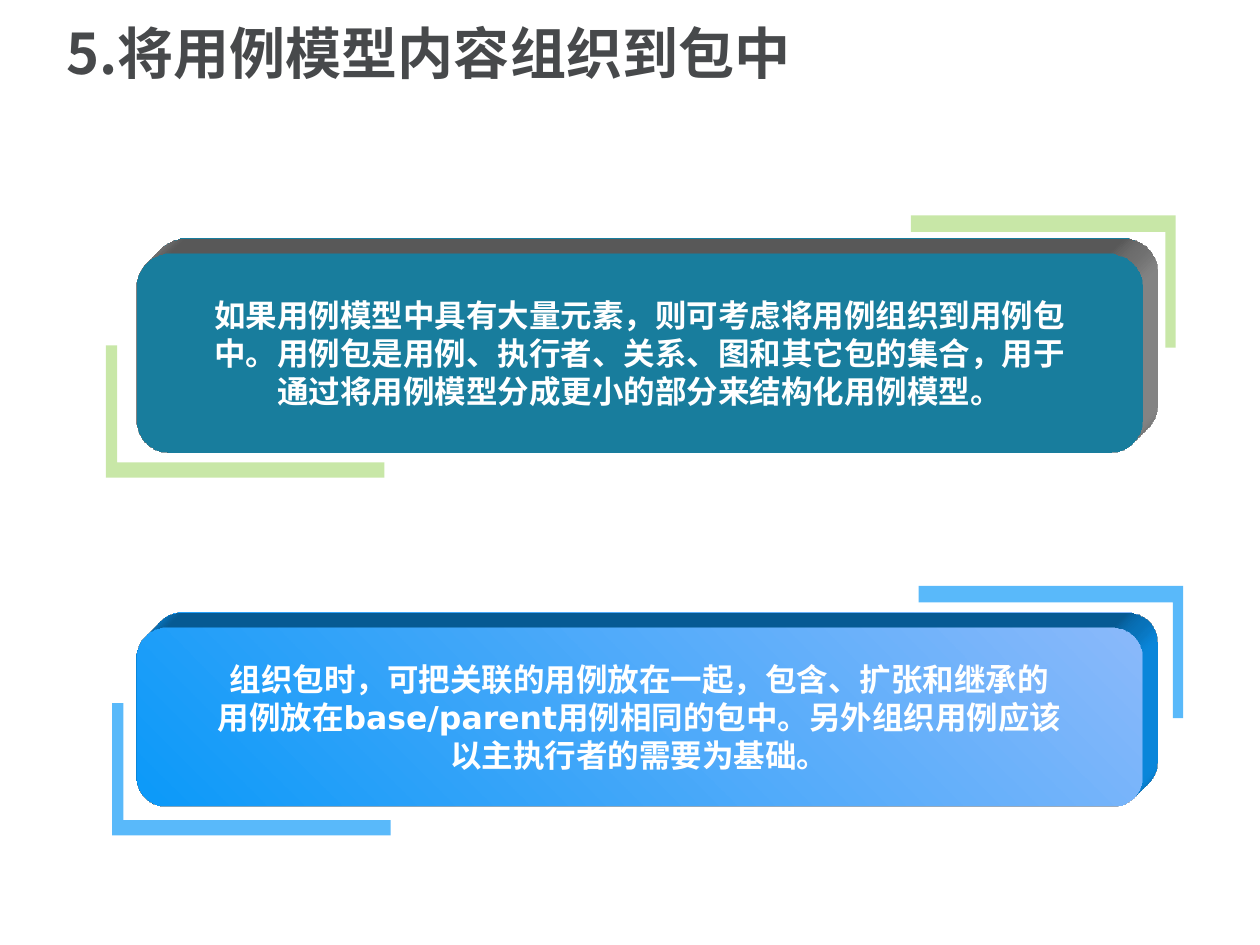
from lxml import etree
from pptx import Presentation
from pptx import util as u
from pptx.dml.color import RGBColor
from pptx.enum import shapes, text
from pptx.oxml import ns

COLORS = {"title": "47494B", "text": "FFFFFF", "teal": "22B1DE", "green": "92D050",
          "blue": "0B99F9", "pale": "8AB9FA", "gray": "969696"}
CJK = "Noto Sans CJK SC"


def rgb(name):
    """Return the named colour."""
    return RGBColor.from_string(COLORS[name])


def add_child(parent, tag, **attrs):
    """Append a DrawingML element to a parent."""
    return etree.SubElement(parent, ns.qn(tag), attrs)


def write_lines(tf, lines, size, color, latin, align):
    """Write bold paragraphs into a vertically centred text frame."""
    tf.vertical_anchor = text.MSO_ANCHOR.MIDDLE
    for i, line in enumerate(lines):
        p = tf.paragraphs[0] if i == 0 else tf.add_paragraph()
        p.alignment = align
        r = p.add_run()
        r.text = line
        p.font.size, p.font.bold, p.font.name = u.Pt(size), True, latin
        p.font.color.rgb = rgb(color)
        r.font.size, r.font.bold, r.font.name = u.Pt(size), True, latin
        r.font.color.rgb = rgb(color)
        add_child(r.font._element, "a:ea", typeface=CJK)


def add_title(s, x, y, w, h, title):
    """Add the slide title in the given box."""
    tf = s.shapes.add_textbox(u.Inches(x), u.Inches(y), u.Inches(w), u.Inches(h)).text_frame
    tf.word_wrap = True
    write_lines(tf, [title], 32, "title", CJK, text.PP_ALIGN.LEFT)


def add_bracket(s, x, y, w, h, thick_x, thick_y, color, alpha):
    """Add an L-shaped bracket from its corner; signed sizes give its direction."""
    points = [(x, y), (x + w, y), (x + w, y + thick_y), (x + thick_x, y + thick_y),
              (x + thick_x, y + h), (x, y + h)]
    points = [(u.Inches(px), u.Inches(py)) for px, py in points]
    builder = s.shapes.build_freeform(*points[0], scale=1.0)
    builder.add_line_segments(points[1:], close=True)
    sp = builder.convert_to_shape()
    sp.shadow.inherit = False
    sp.line.fill.background()
    sp.fill.solid()
    sp.fill.fore_color.rgb = rgb(color)
    for clr in sp._element.spPr.find(ns.qn("a:solidFill")):
        add_child(clr, "a:alpha", val=str(alpha * 1000))


def extrude(sp, color):
    """Give a shape an oblique depth towards the top right."""
    spPr = sp._element.spPr
    scene = add_child(spPr, "a:scene3d")
    add_child(scene, "a:camera", prst="legacyObliqueTopRight")
    add_child(scene, "a:lightRig", rig="legacyFlat3", dir="b")
    solid = add_child(spPr, "a:sp3d", extrusionH=str(u.Inches(0.34)), prstMaterial="legacyMatte")
    for bevel in ("a:bevelT", "a:bevelB"):
        add_child(solid, bevel, w="13500", h="13500", prst="angle")
    add_child(add_child(solid, "a:extrusionClr"), "a:srgbClr", val=COLORS[color])


def add_panel(s, x, y, w, h, lines, fill, depth, latin):
    """Add a raised rounded panel with centred lines."""
    sp = s.shapes.add_shape(shapes.MSO_SHAPE.ROUNDED_RECTANGLE,
                            u.Inches(x), u.Inches(y), u.Inches(w), u.Inches(h))
    sp.adjustments[0] = 0.167
    sp.shadow.inherit = False
    sp.line.fill.background()
    if len(fill) == 1:
        sp.fill.solid()
        sp.fill.fore_color.rgb = rgb(fill[0])
    else:
        sp.fill.gradient()
        sp.fill.gradient_angle = 45
        for stop, name in zip(sp.fill.gradient_stops, fill):
            stop.color.rgb = rgb(name)
    extrude(sp, depth)
    sp.text_frame.word_wrap = False
    write_lines(sp.text_frame, lines, 18, "text", latin, text.PP_ALIGN.CENTER)


def add_framed_panel(s, frame, panel, lines, fill, depth, latin, accent, alpha):
    """Add a panel between two opposite corner brackets."""
    x, y, w, h = frame
    add_bracket(s, x, y + h, 2.21, -1.05, 0.09, -0.12, accent, alpha)
    add_bracket(s, x + w, y, -2.1, 1.05, -0.08, 0.13, accent, alpha)
    add_panel(s, *panel, lines, fill, depth, latin)


def main():
    """Build the slide."""
    prs = Presentation()
    prs.slide_width, prs.slide_height = u.Inches(10), u.Inches(7.5)
    s = prs.slides.add_slide(prs.slide_layouts[6])
    add_title(s, 0.43, 0.06, 9.05, 0.7, "5.将用例模型内容组织到包中")
    add_framed_panel(s, (0.84, 1.71, 8.49, 2.08), (1.08, 2.01, 7.99, 1.58),
                     ["如果用例模型中具有大量元素，则可考虑将用例组织到用例包",
                      "中。用例包是用例、执行者、关系、图和其它包的集合，用于",
                      "通过将用例模型分成更小的部分来结构化用例模型。"],
                     ["teal"], "gray", CJK, "green", 50)
    add_framed_panel(s, (0.89, 4.65, 8.5, 1.98), (1.08, 4.98, 7.99, 1.42),
                     ["组织包时，可把关联的用例放在一起，包含、扩张和继承的",
                      "用例放在base/parent用例相同的包中。另外组织用例应该",
                      "以主执行者的需要为基础。"],
                     ["blue", "pale"], "blue", "DejaVu Sans", "blue", 68)
    prs.save("out.pptx")


if __name__ == "__main__":
    main()
